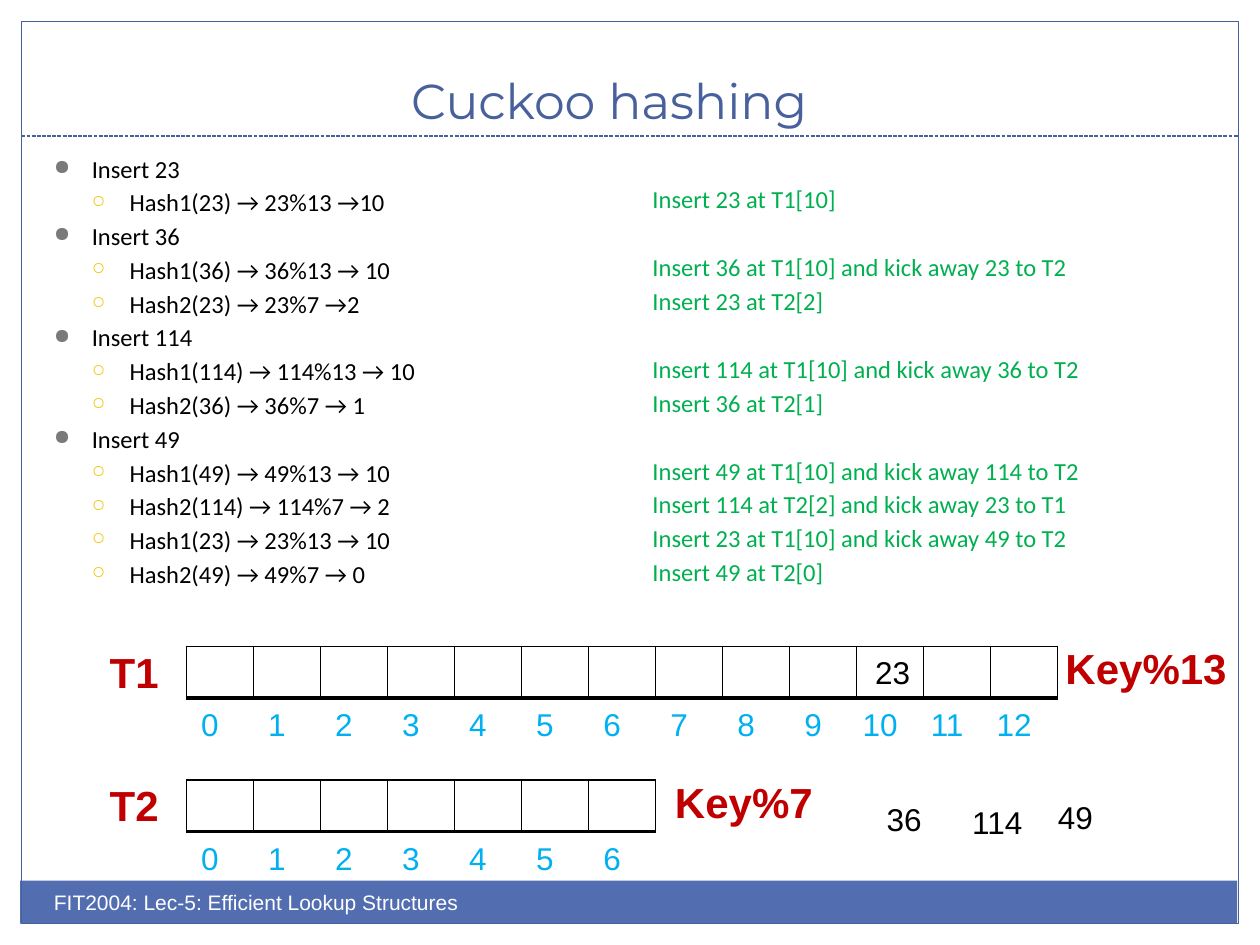
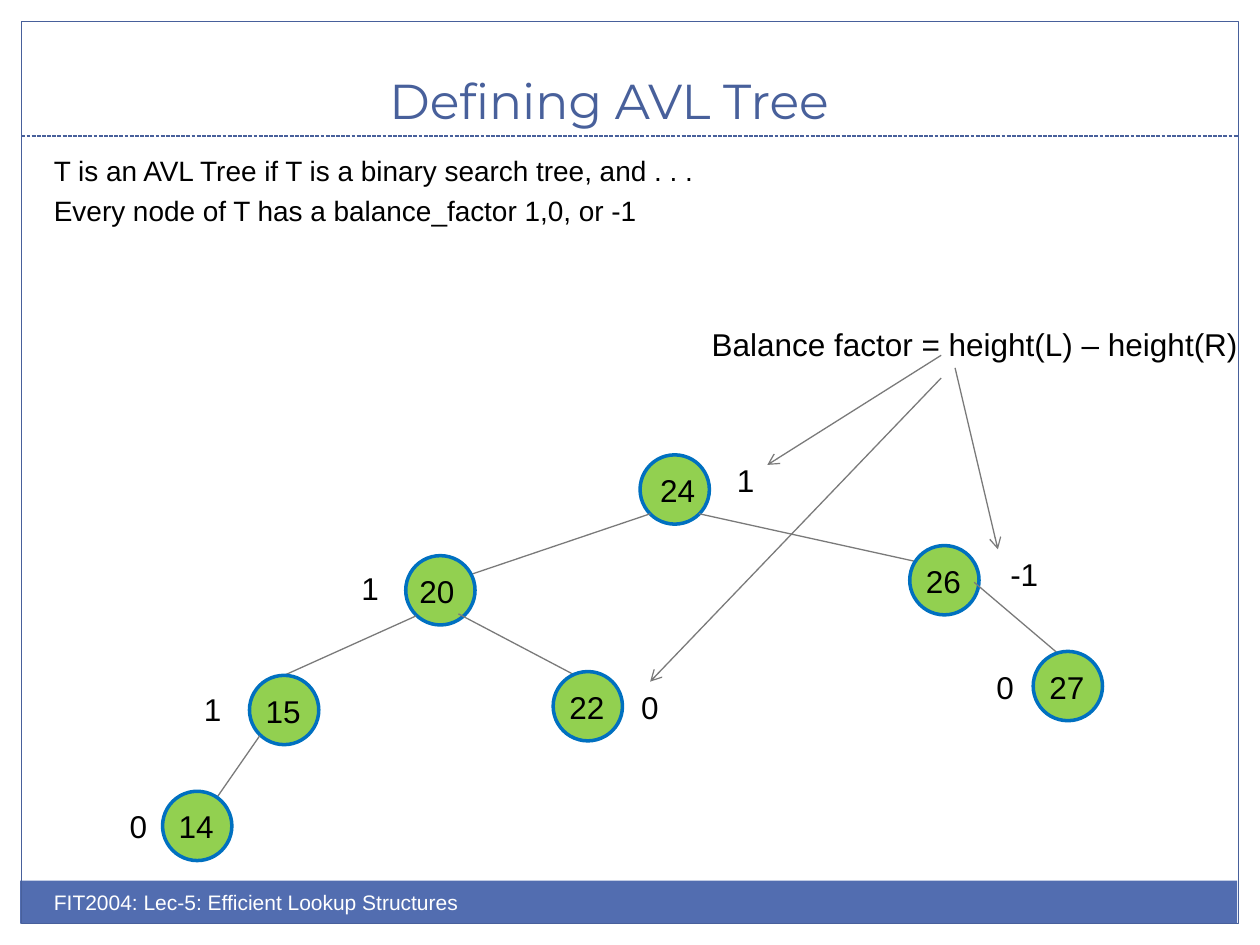
import dataclasses

import lxml.etree
import pptx
import pptx.dml.color
import pptx.enum.dml
import pptx.enum.shapes
import pptx.enum.text
import pptx.oxml.ns
import pptx.util

SLIDE_WIDTH = pptx.util.Inches(10)
SLIDE_HEIGHT = pptx.util.Inches(7.5)
COLUMNS, ROWS = 100, 75

RGB = pptx.dml.color.RGBColor
WHITE = RGB(0xFF, 0xFF, 0xFF)
BLACK = RGB(0, 0, 0)
FRAME_BLUE = RGB(0x48, 0x60, 0x9B)
BAND_BLUE = RGB(0x52, 0x6D, 0xB0)
GREY = RGB(0x7A, 0x7A, 0x7A)
GOLD = RGB(0xF5, 0xC2, 0x01)
NOTE_GREEN = RGB(0x00, 0xB0, 0x50)
INDEX_BLUE = RGB(0x00, 0xB0, 0xF0)
LABEL_RED = RGB(0xC0, 0, 0)
NODE_GREEN = RGB(0x92, 0xD0, 0x50)
NODE_BLUE = RGB(0x00, 0x70, 0xC0)

HEADING_FONT, STEP_FONT, TEXT_FONT = "Montserrat", "Calibri", "Arial"
FOOTER = "FIT2004: Lec-5: Efficient Lookup Structures"
PLAIN_TABLE = "{2D5ABB26-0587-4C30-8999-92F81FD0307C}"

ALIGN = pptx.enum.text.PP_ALIGN
ANCHOR = pptx.enum.text.MSO_ANCHOR
SHAPE = pptx.enum.shapes.MSO_SHAPE

STEP_GAP, STEP_PITCH = 2.5, 19.6
INSERTIONS = [
    ("Insert 23", [("Hash1(23) → 23%13 →10", "Insert 23 at T1[10]")]),
    ("Insert 36", [
        ("Hash1(36) → 36%13 → 10", "Insert 36 at T1[10] and kick away 23 to T2"),
        ("Hash2(23) → 23%7 →2", "Insert 23 at T2[2]")]),
    ("Insert 114", [
        ("Hash1(114) → 114%13 → 10", "Insert 114 at T1[10] and kick away 36 to T2"),
        ("Hash2(36) → 36%7 → 1", "Insert 36 at T2[1]")]),
    ("Insert 49", [
        ("Hash1(49) → 49%13 → 10", "Insert 49 at T1[10] and kick away 114 to T2"),
        ("Hash2(114) → 114%7 → 2", "Insert 114 at T2[2] and kick away 23 to T1"),
        ("Hash1(23) → 23%13 → 10", "Insert 23 at T1[10] and kick away 49 to T2"),
        ("Hash2(49) → 49%7 → 0", "Insert 49 at T2[0]")]),
]

SLOT_WIDTH, SLOT_HEIGHT = 5.32, 4.1
LABEL_WIDTH, LABEL_HEIGHT = 6.7, 4

NODE_SIZE = 5.5
# key: (left, top, label shift, balance factor, factor left, factor top)
TREE_NODES = {
    24: (41.5, 0, 0.6, "1", 48.2, 0),
    20: (22.9, 8, 0.1, "1", 18.4, 8.6),
    15: (10.5, 17.5, 0.3, "1", 5.9, 18.2),
    22: (34.6, 17.2, 0.3, "0", 40.6, 18),
    14: (3.6, 26.7, 0.3, "0", 0, 27.5),
    26: (62.9, 7.2, 0.3, "-1", 69.9, 7.5),
    27: (72.7, 15.6, 0.3, "0", 68.8, 16.4),
}
# parent: (child, start share of the parent, end share of the child)
TREE_EDGES = {
    24: [(20, (0.15, 0.85), (0.5, 0.42)), (26, (0.85, 0.85), (0.45, 0.31))],
    20: [(15, (0.15, 0.87), (0.5, 0)), (22, (0.76, 0.84), (0.5, 0.15))],
    15: [(14, (0.15, 0.87), (0.5, 0.5))],
    26: [(27, (0.93, 0.53), (0.5, 0.15))],
}


@dataclasses.dataclass
class Box:
    """A rectangle measured in columns and rows of the slide grid."""
    left: float
    top: float
    width: float
    height: float

    def inside(self, left, top, width, height):
        return Box(self.left + left, self.top + top, width, height)

    def point(self, across, down):
        """Grid point at the given shares of the box."""
        return self.left + across * self.width, self.top + down * self.height

    def lengths(self):
        return (*to_lengths(self.left, self.top), *to_lengths(self.width, self.height))


def to_lengths(column, row):
    return round(column * SLIDE_WIDTH / COLUMNS), round(row * SLIDE_HEIGHT / ROWS)


def add_element(parent, tag, **attributes):
    element = lxml.etree.SubElement(parent, pptx.oxml.ns.qn(tag))
    for name, value in attributes.items():
        element.set(name, str(value))
    return element


def add_span(para, text, size, color, font=TEXT_FONT, bold=False):
    span = para.add_run()
    span.text = text
    span.font.name, span.font.size, span.font.bold = font, pptx.util.Pt(size), bold
    span.font.color.rgb = color


def add_frame(shapes, box, anchor=ANCHOR.TOP, wrap=True):
    frame = shapes.add_textbox(*box.lengths()).text_frame
    frame.word_wrap = wrap
    frame.vertical_anchor = anchor
    return frame


def next_para(frame, gap):
    """The first paragraph, or a new one with space before it."""
    if not frame.paragraphs[0].runs:
        return frame.paragraphs[0]
    para = frame.add_paragraph()
    para.space_before = pptx.util.Pt(gap)
    return para


def add_label(shapes, box, text, size=18, color=BLACK, font=TEXT_FONT, bold=False,
              align=ALIGN.CENTER, anchor=ANCHOR.MIDDLE, wrap=True):
    para = add_frame(shapes, box, anchor, wrap).paragraphs[0]
    para.alignment = align
    add_span(para, text, size, color, font, bold)


def add_shape(shapes, kind, box, fill=None, line=None, weight=0.75):
    shape = shapes.add_shape(kind, *box.lengths())
    shape.shadow.inherit = False
    if fill is None:
        shape.fill.background()
    else:
        shape.fill.solid()
        shape.fill.fore_color.rgb = fill
    if line is None:
        shape.line.fill.background()
    else:
        shape.line.color.rgb = line
        shape.line.width = pptx.util.Pt(weight)


def add_line(page, start, end, color=GREY, dash=None, arrow=False):
    line = page.shapes.add_connector(pptx.enum.shapes.MSO_CONNECTOR.STRAIGHT,
                                     *to_lengths(*start), *to_lengths(*end))
    line.line.color.rgb = color
    line.line.width = pptx.util.Pt(0.75)
    if dash is not None:
        line.line.dash_style = dash
    properties = line._element.spPr
    if arrow:
        add_element(properties.find(pptx.oxml.ns.qn("a:ln")), "a:tailEnd", type="arrow")
    add_element(properties, "a:effectLst")


def add_page(deck, title):
    """A slide with the shared frame, title and footer band."""
    page = deck.slides.add_slide(deck.slide_layouts[6])
    frame = Box(1.7, 1.7, 96.6, 71.6)
    add_shape(page.shapes, SHAPE.RECTANGLE, frame.inside(-0.1, 68.2, 96.6, 3.4), BAND_BLUE)
    add_shape(page.shapes, SHAPE.RECTANGLE, frame, line=FRAME_BLUE)
    add_line(page, (frame.left, 10.8), (frame.left + frame.width, 10.8), FRAME_BLUE,
             pptx.enum.dml.MSO_LINE.SQUARE_DOT)
    add_label(page.shapes, Box(-0.8, 2.5, 98.3, 8.3), title, 28, FRAME_BLUE,
              HEADING_FONT, anchor=ANCHOR.BOTTOM)
    add_label(page.shapes, Box(3.3, 70.1, 50, 4), FOOTER, 12, WHITE,
              align=ALIGN.LEFT, anchor=ANCHOR.TOP)
    return page


def add_bullet(para, level, char, color, size):
    properties = para._p.get_or_add_pPr()
    indent = pptx.util.Inches(0.3)
    properties.set("marL", str(indent * (level + 1)))
    properties.set("indent", str(-indent))
    add_element(add_element(properties, "a:buClr"), "a:srgbClr", val=color)
    add_element(properties, "a:buSzPct", val=size * 1000)
    add_element(properties, "a:buChar", char=char)
    para.level = level


def draw_insertion_steps(page, box):
    """Hash steps on the left, what each one does on the right."""
    steps = add_frame(page.shapes, box.inside(0, 0, 45.2, box.height))
    notes = add_frame(page.shapes, box.inside(47.5, 2.4, 49.2, box.height - 2.7))
    for heading, moves in INSERTIONS:
        para = next_para(steps, STEP_GAP)
        add_bullet(para, 0, "●", GREY, 85)
        add_span(para, heading, 14, BLACK, STEP_FONT)
        gap = STEP_GAP + STEP_PITCH
        for step, note in moves:
            para = next_para(steps, STEP_GAP)
            add_bullet(para, 1, "○", GOLD, 70)
            add_span(para, step, 14, BLACK, STEP_FONT)
            add_span(next_para(notes, gap), note, 14, NOTE_GREEN, STEP_FONT)
            gap = STEP_GAP


def set_borders(cell):
    properties = cell._tc.get_or_add_tcPr()
    for side, weight in (("L", 1), ("R", 1), ("T", 1), ("B", 2)):
        line = add_element(properties, f"a:ln{side}", w=pptx.util.Pt(weight))
        add_element(add_element(line, "a:solidFill"), "a:srgbClr", val=BLACK)


def add_slots(page, box, texts, bordered=False):
    graphic = page.shapes.add_table(1, len(texts), *box.lengths())
    table = graphic.table
    table.first_row = table.horz_banding = False
    table._tbl.tblPr.find(pptx.oxml.ns.qn("a:tableStyleId")).text = PLAIN_TABLE
    for column, cell, text in zip(table.columns, table.rows[0].cells, texts):
        column.width = to_lengths(SLOT_WIDTH, 0)[0]
        if bordered:
            set_borders(cell)
        cell.fill.background()
        if text:
            para = cell.text_frame.paragraphs[0]
            para.alignment = ALIGN.CENTER
            add_span(para, text, 18, INDEX_BLUE)


def draw_hash_table(page, box, name, size, rule):
    """A named row of slots with indices below and its hash rule at the right."""
    width = size * SLOT_WIDTH
    add_label(page.shapes, box.inside(0, 0, LABEL_WIDTH, LABEL_HEIGHT),
              name, 24, LABEL_RED, bold=True)
    add_slots(page, box.inside(7.5, 0, width, SLOT_HEIGHT), [""] * size, bordered=True)
    add_slots(page, box.inside(6.7, 4.4, width, SLOT_HEIGHT), [str(i) for i in range(size)])
    add_label(page.shapes, box.inside(6.5 + width, -0.3, 16, LABEL_HEIGHT),
              rule, 24, LABEL_RED, bold=True)


def draw_keys(page, box):
    for key, left, top in (("23", 0, 0), ("36", 0.9, 11.7),
                           ("114", 8.3, 11.9), ("49", 14.5, 11.5)):
        add_label(page.shapes, box.inside(left, top, LABEL_WIDTH, LABEL_HEIGHT), key)


def draw_node(page, box, key, shift):
    parts = page.shapes.add_group_shape().shapes
    add_shape(parts, SHAPE.OVAL, box, NODE_GREEN, NODE_BLUE, 2)
    add_label(parts, box.inside(shift, 0.8, 4.8, 4), str(key),
              align=ALIGN.LEFT, anchor=ANCHOR.TOP, wrap=False)


def draw_tree(page, box):
    nodes = {key: box.inside(left, top, NODE_SIZE, NODE_SIZE)
             for key, (left, top, *_) in TREE_NODES.items()}
    for key, (_, _, shift, factor, left, top) in TREE_NODES.items():
        draw_node(page, nodes[key], key, shift)
        for child, start, end in TREE_EDGES.get(key, []):
            add_line(page, nodes[key].point(*start), nodes[child].point(*end))
        add_label(page.shapes, box.inside(left, top, 2.5 + 0.9 * len(factor), 4), factor,
                  align=ALIGN.LEFT, anchor=ANCHOR.TOP, wrap=False)


def draw_factor_callout(page, box):
    """The balance formula with arrows to three of the factors."""
    add_label(page.shapes, box, "Balance factor = height(L) – height(R)",
              align=ALIGN.LEFT, anchor=ANCHOR.TOP)
    for start, end in (((19.2, 2.9), (5.4, 11.6)), ((20.3, 3.9), (23.7, 18.3)),
                       ((19.2, 4.7), (-3.9, 28.8))):
        add_line(page, (box.left + start[0], box.top + start[1]),
                 (box.left + end[0], box.top + end[1]), arrow=True)


def build_cuckoo_page(deck):
    page = add_page(deck, "Cuckoo hashing")
    draw_insertion_steps(page, Box(3.3, 11.7, 96.7, 36.7))
    draw_hash_table(page, Box(7.3, 51.3, 92, 8.5), "T1", 13, "Key%13")
    draw_hash_table(page, Box(7.3, 61.9, 60, 8.5), "T2", 7, "Key%7")
    draw_keys(page, Box(67.5, 51.3, 22, 16))


def build_tree_page(deck):
    page = add_page(deck, "Defining AVL Tree")
    body = add_frame(page.shapes, Box(3.3, 11.7, 88.4, 27.2))
    for text in ("T is an AVL Tree if T is a binary search tree, and . . .",
                 "Every node of T has a balance_factor 1,0, or -1"):
        add_span(next_para(body, 3.7), text, 16, BLACK)
    draw_tree(page, Box(9.3, 36.1, 78.2, 32.2))
    draw_factor_callout(page, Box(55.5, 25.3, 46.7, 4))


def main():
    deck = pptx.Presentation()
    deck.slide_width, deck.slide_height = SLIDE_WIDTH, SLIDE_HEIGHT
    build_cuckoo_page(deck)
    build_tree_page(deck)
    deck.save("out.pptx")


if __name__ == "__main__":
    main()
